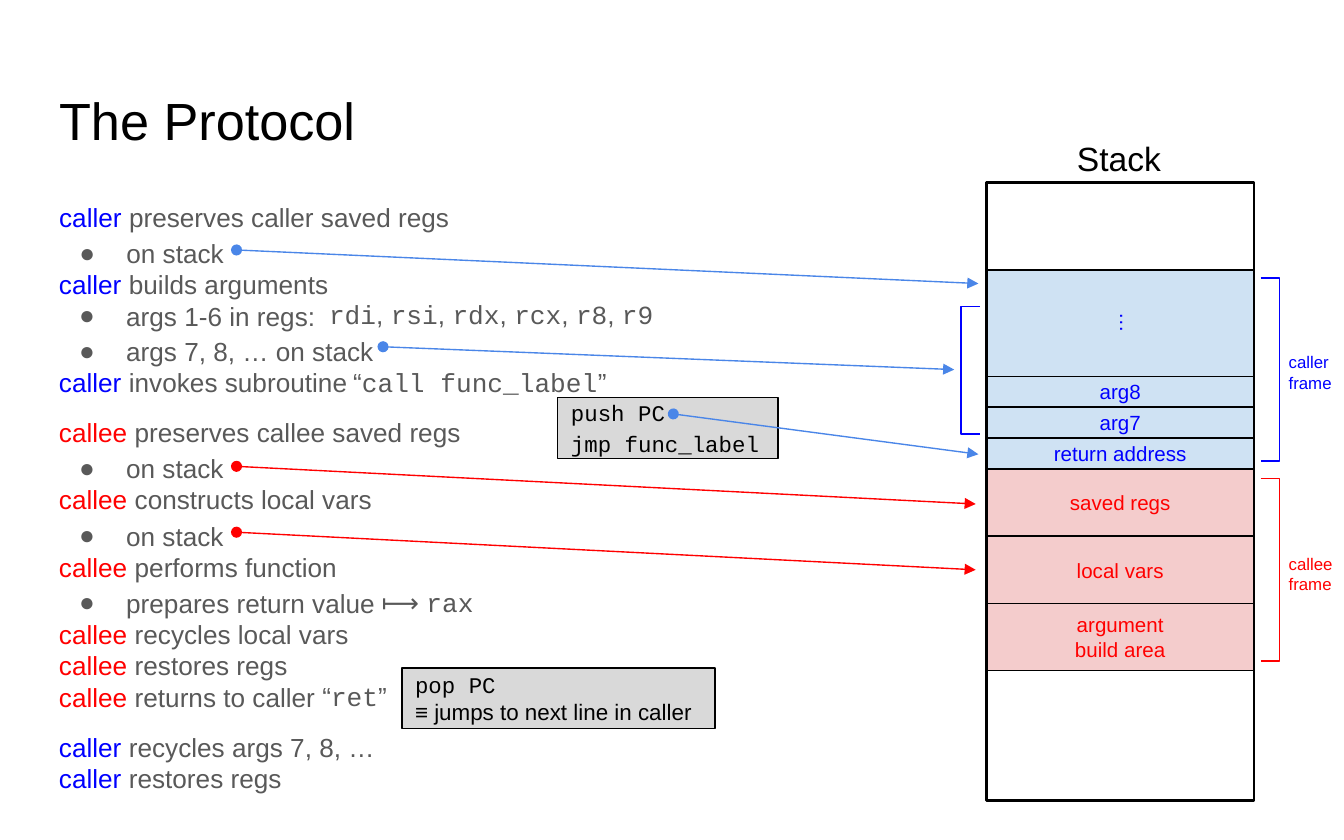
from lxml import etree
from pptx import Presentation
from pptx import util as u
from pptx.dml import color
from pptx.enum import dml, shapes, text
from pptx.oxml import ns

SANS, MONO = "Arial", "Courier New"
BLACK, GREY, BLUE, RED, SKY = "000000", "595959", "0000FF", "FF0000", "4A86E8"
PALE_BLUE, PALE_RED, SILVER = "CFE2F3", "F4CCCC", "D9D9D9"
LEFT, CENTER = text.PP_ALIGN.LEFT, text.PP_ALIGN.CENTER
TOP, MIDDLE = text.MSO_ANCHOR.TOP, text.MSO_ANCHOR.MIDDLE


def rgb(value):
    return color.RGBColor.from_string(value)


def add_xml(parent, tag, **attributes):
    return etree.SubElement(parent, ns.qn(tag), **attributes)


def set_bullet(para, bulleted):
    props = para._p.get_or_add_pPr()
    props.set("marL", str(u.Inches(0.5 if bulleted else 0)))
    props.set("indent", str(u.Inches(-0.35 if bulleted else 0)))
    if bulleted:
        add_xml(add_xml(props, "a:buClr"), "a:srgbClr", val=GREY)
        add_xml(props, "a:buFont", typeface=SANS)
        add_xml(props, "a:buChar", char="●")
    else:
        add_xml(props, "a:buNone")


def write(shape, paragraphs, size, align=LEFT, anchor=TOP):
    frame = shape.text_frame
    frame.word_wrap = True
    frame.auto_size = text.MSO_AUTO_SIZE.NONE
    frame.vertical_anchor = anchor
    frame.margin_left = frame.margin_right = u.Inches(0.1)
    frame.margin_top = frame.margin_bottom = u.Inches(0.1)
    for index, (runs, bulleted, spacing) in enumerate(paragraphs):
        para = frame.add_paragraph() if index else frame.paragraphs[0]
        para.alignment = align
        para.space_before = u.Pt(0)
        para.line_spacing = spacing
        set_bullet(para, bulleted)
        for words, font, ink in runs:
            span = para.add_run()
            span.text = words
            span.font.name = font
            span.font.size = u.Pt(size)
            span.font.color.rgb = rgb(ink)


def line(words, font=SANS, ink=GREY, spacing=1.0):
    return [(words, font, ink)], False, spacing


def step(role, words):
    ink = BLUE if role == "caller" else RED
    return [(role, SANS, ink), (" " + words, SANS, GREY)], False, 1.0


def bullet(words, spacing=1.15):
    return [(words, SANS, GREY)], True, spacing


def mixed(*parts, spacing=1.0):
    return [(words, font, GREY) for words, font in parts], False, spacing


def move(shape, box):
    shape.left, shape.top, shape.width, shape.height = map(u.Inches, box)


def add_text(page, box, paragraphs, size, **layout):
    label = page.shapes.add_textbox(*map(u.Inches, box))
    write(label, paragraphs, size, **layout)
    return label


def add_box(page, box, fill=None, outline=BLACK, width=0.75):
    shape = page.shapes.add_shape(shapes.MSO_SHAPE.RECTANGLE, *map(u.Inches, box))
    shape.shadow.inherit = False
    if fill:
        shape.fill.solid()
        shape.fill.fore_color.rgb = rgb(fill)
    else:
        shape.fill.background()
    if outline:
        shape.line.color.rgb = rgb(outline)
        shape.line.width = u.Pt(width)
    else:
        shape.line.fill.background()
    return shape


def add_line(page, start, end, ink, arrow=False):
    link = page.shapes.add_connector(
        shapes.MSO_CONNECTOR.STRAIGHT, *map(u.Inches, start + end))
    link.line.color.rgb = rgb(ink)
    link.line.width = u.Pt(0.75)
    if arrow:
        outline = link.line._get_or_add_ln()
        add_xml(outline, "a:headEnd", type="oval", w="med", len="med")
        add_xml(outline, "a:tailEnd", type="triangle", w="med", len="med")
    add_xml(link._element.spPr, "a:effectLst")


def add_bracket(page, box, ink, opens_right):
    left, top, width, height = box
    tip, spine = (left + width, left) if opens_right else (left, left + width)
    points = [(tip, top), (spine, top), (spine, top + height), (tip, top + height)]
    emu = [(u.Inches(x), u.Inches(y)) for x, y in points]
    builder = page.shapes.build_freeform(*emu[0])
    builder.add_line_segments(emu[1:], close=False)
    bracket = builder.convert_to_shape()
    bracket.shadow.inherit = False
    bracket.fill.background()
    bracket.line.color.rgb = rgb(ink)
    bracket.line.width = u.Pt(0.75)


def add_stack(page, left, top, width, height):
    rows = [
        ([], 0.79, PALE_BLUE, BLUE),
        (["arg8"], 0.23, PALE_BLUE, BLUE),
        (["arg7"], 0.23, PALE_BLUE, BLUE),
        (["return address"], 0.23, PALE_BLUE, BLUE),
        (["saved regs"], 0.5, PALE_RED, RED),
        (["local vars"], 0.5, PALE_RED, RED),
        (["argument", "build area"], 0.5, PALE_RED, RED),
    ]
    first = y = top + 0.65
    for words, depth, fill, ink in rows:
        cell = add_box(page, (left, y, width, depth), fill, BLACK if words else None)
        if words:
            write(cell, [line(part, ink=ink) for part in words], 11,
                  align=CENTER, anchor=MIDDLE)
        y += depth
    add_line(page, (left, first), (left + width, first), BLACK)
    dots = add_text(page, (left + 0.67, first + 0.28, 0.77, 0.23),
                    [line("…", ink=BLUE)], 11, align=CENTER, anchor=MIDDLE)
    dots.rotation = 90
    add_text(page, (left - 0.02, top - 0.35, width + 0.02, 0.33),
             [line("Stack", ink=BLACK)], 18, align=CENTER, anchor=MIDDLE)
    add_box(page, (left, top, width, height), width=1.5)
    add_bracket(page, (left - 0.19, first + 0.27, 0.14, 0.95), BLUE, True)
    frames = [("caller", BLUE, 0.06, 0.51), ("callee", RED, 1.55, 2.01)]
    for role, ink, bracket_top, label_top in frames:
        add_bracket(page, (left + 2.04, first + bracket_top, 0.14, 1.36), ink, False)
        add_text(page, (left + 2.15, first + label_top, 0.6, 0.33),
                 [line(role, ink=ink), line("frame", ink=ink)], 9)


def add_steps(page, body, left, top, width):
    registers = []
    for name in ["rdi", "rsi", "rdx", "rcx", "r8", "r9"]:
        registers += [(", ", SANS)] if registers else []
        registers.append((name, MONO))
    opening = [step("caller", "preserves caller saved regs"), bullet("on stack")]
    move(body, (left, top, width, 0.67))
    write(body, opening, 14)
    blocks = [
        (0, 0.5, width, 0.59, [step("caller", "builds arguments"),
                               bullet("args 1-6 in regs:", 1.0)]),
        (2.01, 0.72, 2.94, 0.39, [mixed(*registers)]),
        (0, 0.96, width, 0.45, [bullet("args 7, 8, … on stack")]),
        (0, 1.23, width, 0.5, [step("caller", "invokes subroutine")]),
        (2.19, 1.23, 2.33, 0.5,
         [mixed(("“", SANS), ("call func_label", MONO), ("”", SANS))]),
        (0, 1.6, width, 0.59, [step("callee", "preserves callee saved regs"),
                               bullet("on stack")]),
        (0, 2.1, width, 0.59, [step("callee", "constructs local vars"),
                               bullet("on stack")]),
        (0, 2.6, width, 0.67, [step("callee", "performs function"),
                               bullet("prepares return value")]),
        (2.4, 2.83, 1.72, 0.39, [mixed(("⟼ ", SANS), ("rax", MONO), spacing=1.15)]),
        (0, 3.1, 3.61, 0.95, [step("callee", "recycles local vars"),
                              step("callee", "restores regs"),
                              step("callee", "returns to caller")]),
        (1.96, 3.56, 1.33, 0.5, [mixed(("“", SANS), ("ret", MONO), ("”", SANS))]),
        (0, 3.94, width, 0.7, [step("caller", "recycles args 7, 8, …"),
                               step("caller", "restores regs")]),
    ]
    for x, y, block_width, height, paragraphs in blocks:
        add_text(page, (left + x, top + y, block_width, height), paragraphs, 14)


def add_code_note(page, box, paragraphs):
    write(add_box(page, box, SILVER), paragraphs, 12, anchor=MIDDLE)


def build_protocol(deck):
    page = deck.slides.add_slide(deck.slide_layouts[1])
    title, body = page.placeholders
    move(title, (0.34, 0.54, 9.32, 0.7))
    write(title, [line("The Protocol", ink=BLACK)], 28, anchor=MIDDLE)
    add_stack(page, 7.34, 1.36, 1.99, 4.6)
    add_steps(page, body, 0.34, 1.4, 4.89)
    add_code_note(page, (4.15, 2.96, 1.64, 0.45),
                  [line("push PC", MONO, BLACK),
                   line("jmp func_label", MONO, BLACK, 1.15)])
    add_code_note(page, (2.99, 4.97, 2.33, 0.45),
                  [line("pop PC", MONO, BLACK),
                   line("≡ jumps to next line in caller", SANS, BLACK)])
    arrows = [
        ((1.76, 1.86), (7.28, 2.11), SKY),
        ((2.85, 2.58), (7.1, 2.75), SKY),
        ((5.01, 3.08), (7.28, 3.38), SKY),
        ((1.76, 3.47), (7.26, 3.75), RED),
        ((1.76, 3.96), (7.26, 4.24), RED),
    ]
    for start, end, ink in arrows:
        add_line(page, start, end, ink, arrow=True)


deck = Presentation()
deck.slide_width, deck.slide_height = u.Inches(10), u.Inches(6.25)
build_protocol(deck)
deck.save("out.pptx")
